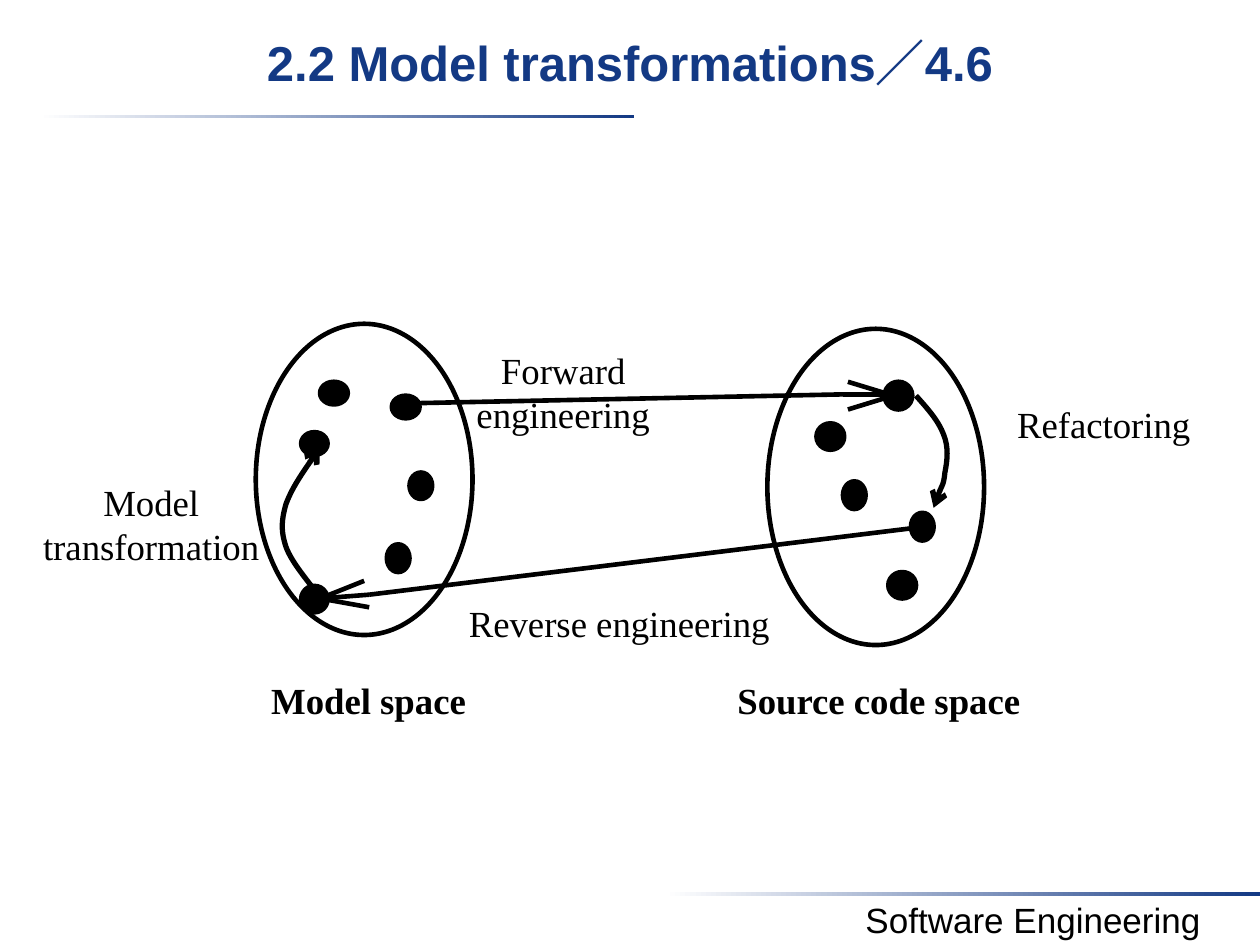
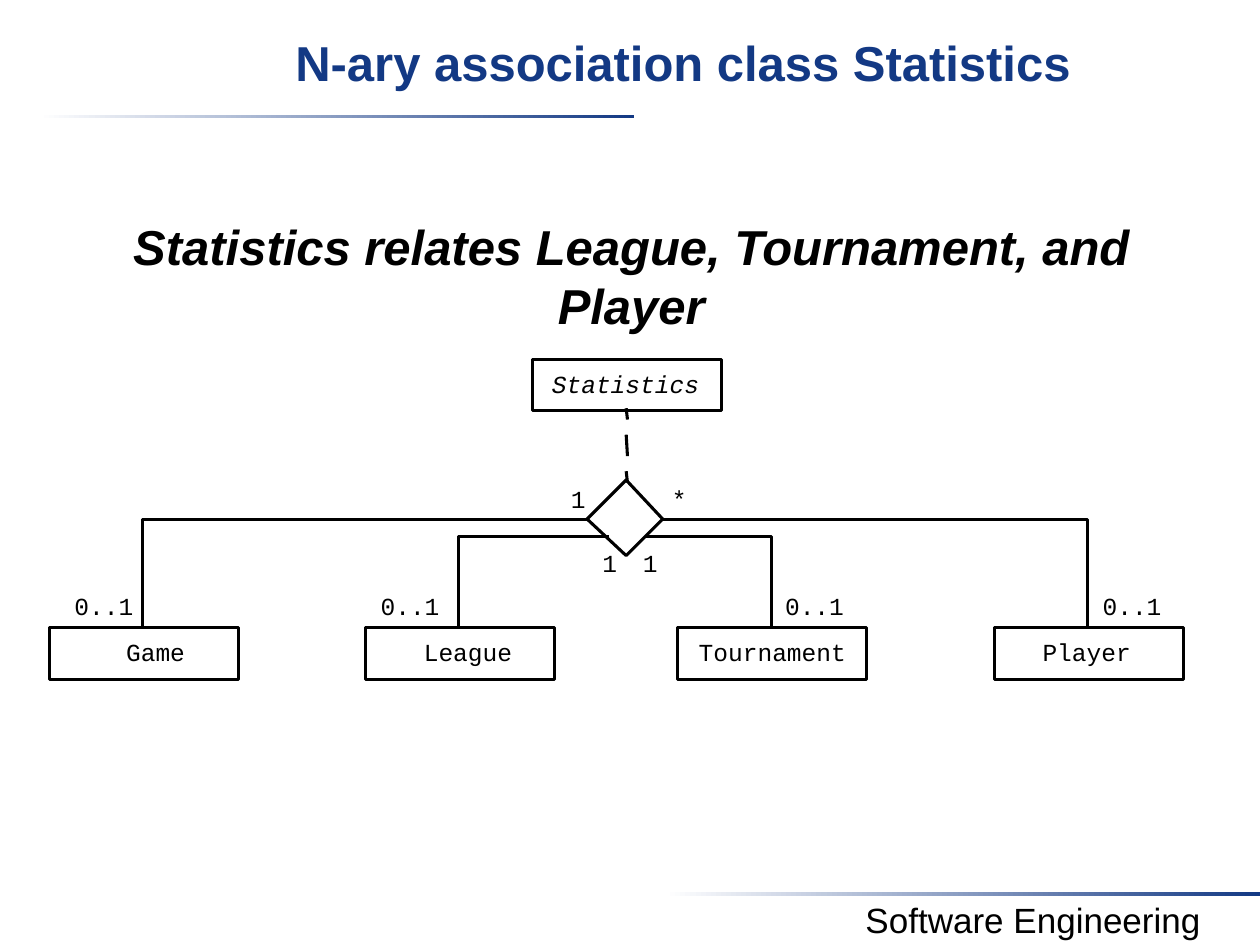
import dataclasses
import typing

import lxml.etree
import pptx
import pptx.dml.color
import pptx.enum.shapes
import pptx.enum.text
import pptx.oxml.ns
import pptx.util

PX = 9144  # 100 px to the inch
NAVY = pptx.dml.color.RGBColor(0x13, 0x39, 0x84)
WHITE = pptx.dml.color.RGBColor(0xFF, 0xFF, 0xFF)
BLACK = pptx.dml.color.RGBColor(0x00, 0x00, 0x00)
SANS, SERIF, MONO = "Arial", "Times New Roman", "Courier New"
RECTANGLE = pptx.enum.shapes.MSO_SHAPE.RECTANGLE
OVAL = pptx.enum.shapes.MSO_SHAPE.OVAL
TITLE_INSETS = (10, 6, 10, 5)
TEXT_INSETS = (10, 5, 10, 5)
NO_INSETS = (0, 0, 0, 0)
qn = pptx.oxml.ns.qn


@dataclasses.dataclass
class Region:
    """Part of a slide; everything drawn in it is measured from its top left corner."""
    slide: typing.Any
    left: int
    top: int
    line_width: float = 2.63

    def place(self, box):
        left, top, width, height = box
        return [round(length * PX) for length in
                (self.left + left, self.top + top, width, height)]

    def stroke(self, line, width=None):
        line.color.rgb = BLACK
        line.width = pptx.util.Pt(width or self.line_width)

    def shape(self, kind, box, fill=None):
        shape = self.slide.shapes.add_shape(kind, *self.place(box))
        shape.shadow.inherit = False
        if fill is None:
            shape.fill.background()
        else:
            shape.fill.solid()
            shape.fill.fore_color.rgb = fill
        self.stroke(shape.line)
        return shape

    def fading_rule(self, box):
        rule = self.shape(RECTANGLE, box)
        rule.line.fill.background()
        rule.fill.gradient()
        rule.fill.gradient_angle = 0
        for stop, color in zip(rule.fill.gradient_stops, (WHITE, NAVY)):
            stop.color.rgb = color

    def line(self, start, end):
        left, top, right, bottom = self.place((*start, self.left + end[0], self.top + end[1]))
        connector = self.slide.shapes.add_connector(
            pptx.enum.shapes.MSO_CONNECTOR.STRAIGHT, left, top, right, bottom)
        self.stroke(connector.line)
        lxml.etree.SubElement(connector._element.spPr, qn("a:effectLst"))

    def outline(self, points, close=False):
        builder = self.slide.shapes.build_freeform(*points[0], scale=PX)
        builder.add_line_segments(points[1:], close=close)
        shape = builder.convert_to_shape(self.left * PX, self.top * PX)
        shape.shadow.inherit = False
        shape.fill.background()
        self.stroke(shape.line)
        return shape

    def curved_arrow(self, points):
        """Draw Bézier segments: a start, then two control points and an end for each."""
        shape = self.outline(points)
        self.stroke(shape.line, 3)
        segments = list(shape._element.iter(qn("a:lnTo")))
        for first, second, third in zip(*[iter(segments)] * 3):
            first.tag = qn("a:cubicBezTo")
            for segment in (second, third):
                first.append(segment[0])
                segment.getparent().remove(segment)
        tail = lxml.etree.SubElement(shape.line._get_or_add_ln(), qn("a:tailEnd"))
        tail.set("type", "arrow")

    def text(self, box, text, font_name, size, color=BLACK, bold=False,
             italic=False, wrap=False, insets=NO_INSETS):
        frame = self.slide.shapes.add_textbox(*self.place(box)).text_frame
        frame.word_wrap = wrap
        frame.vertical_anchor = pptx.enum.text.MSO_ANCHOR.TOP
        (frame.margin_left, frame.margin_top,
         frame.margin_right, frame.margin_bottom) = [inset * PX for inset in insets]
        paragraph = frame.paragraphs[0]
        paragraph.alignment = pptx.enum.text.PP_ALIGN.CENTER
        for index, words in enumerate(text.split("\n")):
            if index:
                paragraph.add_line_break()
            run = paragraph.add_run()
            run.text = words
            run.font.name = font_name
            run.font.size = pptx.util.Pt(size)
            run.font.color.rgb = color
            run.font.bold = bold
            run.font.italic = italic

    def serif_label(self, box, text, **style):
        self.text(box, text, SERIF, 21, **style)

    def code_label(self, box, text, **style):
        self.text(box, text, MONO, 14, **style)


def add_framed_slide(presentation, title, title_left=0):
    """Add a slide with the shared title, rules and footer."""
    slide = presentation.slides.add_slide(presentation.slide_layouts[6])
    page = Region(slide, 0, 0)
    page.fading_rule((31, 91, 472, 3))
    page.fading_rule((528, 708, 472, 3))
    page.text((640, 708, 360, 44), "Software Engineering", SANS, 20,
              wrap=True, insets=TEXT_INSETS)
    page.text((title_left, 20, 1000, 75), title, SANS, 28, NAVY, bold=True,
              wrap=True, insets=TITLE_INSETS)
    return slide


def draw_space(slide, box, dots, name, name_box):
    left, top, width, height = box
    region = Region(slide, left, top)
    for dot in dots:
        region.shape(OVAL, dot, BLACK)
    region.shape(OVAL, (0, 0, width, height))
    region.serif_label(name_box, name, bold=True)


def draw_mapping(slide, origin, shafts, head, label, label_box, wrap=False):
    region = Region(slide, *origin)
    for start, end in shafts:
        region.line(start, end)
    region.outline(head)
    region.serif_label(label_box, label, wrap=wrap)


def draw_inner_step(slide, origin, curve, label, label_box):
    region = Region(slide, *origin)
    region.curved_arrow(curve)
    region.serif_label(label_box, label)


def add_transformations_slide(presentation):
    slide = add_framed_slide(presentation, "2.2 Model transformations／4.6")
    draw_space(slide, (609, 261, 172, 251),
               [(60, 121, 18, 22), (93, 42, 22, 22), (114, 146, 18, 22),
                (39, 75, 22, 21), (96, 193, 22, 21)],
               "Source code space", (-24, 277, 225, 35))
    draw_space(slide, (203, 257, 172, 247),
               [(36, 86, 21, 18), (108, 57, 22, 18), (122, 118, 18, 21),
                (36, 208, 21, 21), (51, 46, 22, 18), (104, 175, 18, 22)],
               "Model space", (12, 281, 155, 35))
    draw_mapping(slide, (329, 276),
                 [((340, 37), (380, 37)), ((340, 37), (0, 44))],
                 [(344, 27), (380, 38), (344, 49)],
                 "Forward engineering", (49, 0, 138, 70), wrap=True)
    draw_mapping(slide, (254, 418),
                 [((480, 0), (39, 54)), ((39, 54), (0, 57))],
                 [(39, 64), (0, 57), (35, 43)],
                 "Reverse engineering", (118, 59, 239, 35))
    draw_inner_step(slide, (727, 314),
                    [(0, 0), (9, 10), (18, 20), (22, 31), (26, 41),
                     (25, 51), (23, 61), (22, 71), (15, 83), (14, 89)],
                    "Refactoring", (80, 5, 138, 35))
    draw_inner_step(slide, (223, 355),
                    [(28, 115), (18, 102), (8, 90), (4, 79), (0, 67),
                     (0, 59), (4, 45), (9, 32), (20, 16), (31, 0)],
                    "Model\ntransformation", (-189, 26, 172, 70))


def draw_class(region, box, name, name_box, italic=False):
    region.shape(RECTANGLE, box)
    region.code_label(name_box, name, italic=italic)


def draw_association(slide, left, top):
    region = Region(slide, left, top, line_width=1.75)
    class_top, class_width, class_height, stem = 213, 150, 41, 74
    outer, inner = 127, 141
    draw_class(region, (384, 0, class_width, class_height), "Statistics",
               (398, 8, 119, 24), italic=True)
    for dash_top, dash_bottom in ((39, 48), (60, 77), (89, 98)):
        region.line((458, dash_top), (459, dash_bottom))
    region.outline([(427, outer), (458, 96), (487, outer), (458, 156)], close=True)

    # name, class left, name left and width, multiplicity left, branch height and end
    members = [
        ("Game", 0, 61, 47, 20, outer, 427),
        ("League", 251, 46, 71, 12, inner, 444),
        ("Tournament", 499, 16, 118, 85, inner, 473),
        ("Player", 750, 38, 71, 86, outer, 487),
    ]
    for name, class_left, name_left, name_width, many_left, branch, end in members:
        draw_class(region, (class_left, class_top, class_width, class_height), name,
                   (class_left + name_left, class_top + 8, name_width, 24))
        region.code_label((class_left + many_left, 184, 47, 24), "0..1")
        region.outline([(class_left + stem, class_top),
                        (class_left + stem, branch), (end, branch)])
    for symbol, symbol_left, symbol_top in (
            ("1", 414, 99), ("*", 494, 99), ("1", 439, 150), ("1", 471, 150)):
        region.code_label((symbol_left, symbol_top, 12, 24), symbol)


def add_statistics_slide(presentation):
    slide = add_framed_slide(presentation, "N-ary association class Statistics", 42)
    draw_association(slide, 39, 285)
    Region(slide, 62, 167).text(
        (0, 0, 878, 57), "Statistics relates League, Tournament, and Player",
        SANS, 28, bold=True, italic=True, wrap=True, insets=TEXT_INSETS)


def main():
    presentation = pptx.Presentation()
    presentation.slide_width = 1000 * PX
    presentation.slide_height = 750 * PX
    add_transformations_slide(presentation)
    add_statistics_slide(presentation)
    presentation.save("out.pptx")


if __name__ == "__main__":
    main()
